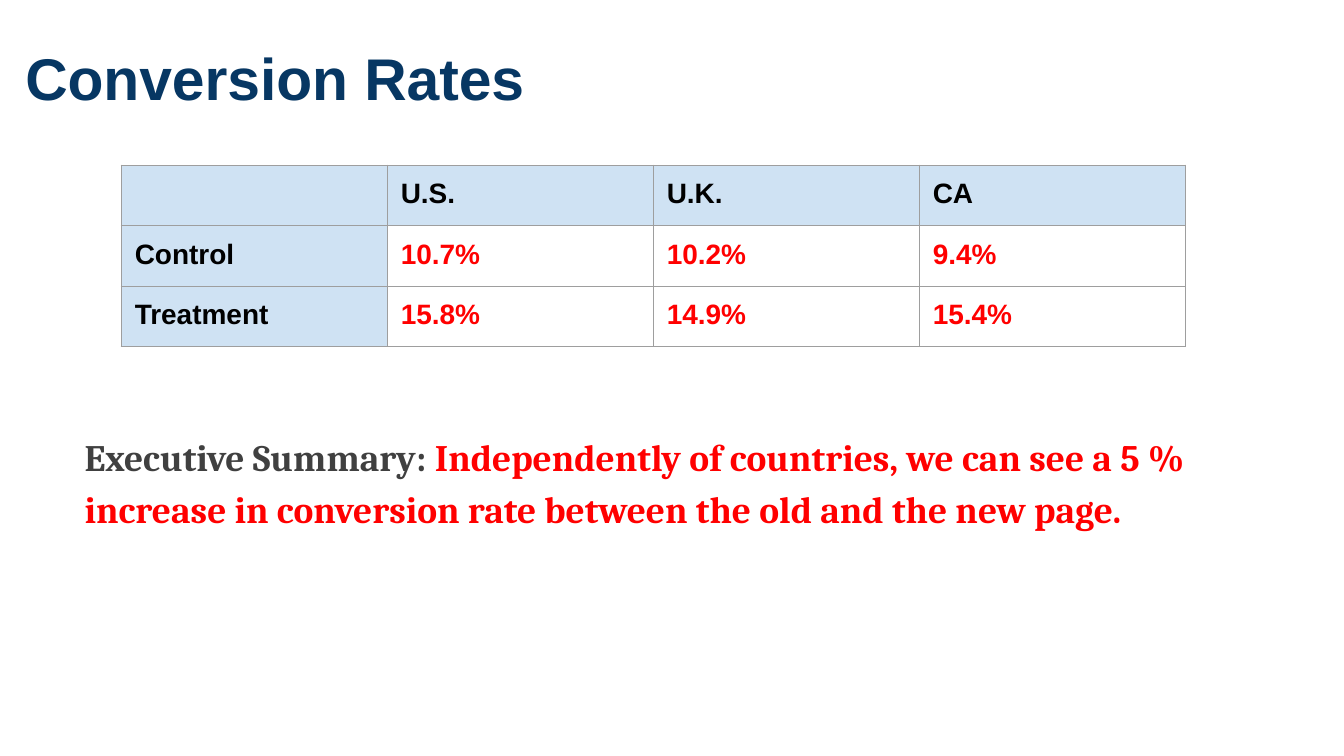
from dataclasses import dataclass

from lxml.etree import SubElement
from pptx import Presentation
from pptx.dml.color import RGBColor as Rgb
from pptx.oxml.ns import qn
from pptx.util import Pt


@dataclass(frozen=True)
class Theme:
    """Colours, fonts and type sizes of the slide."""
    navy: str = "073763"
    black: str = "000000"
    red: str = "FF0000"
    gray: str = "404040"
    white: str = "FFFFFF"
    header_fill: str = "CFE2F3"
    border: str = "9E9E9E"
    sans: str = "Arial"
    serif: str = "Cambria"
    title_size: float = 31.5
    table_size: float = 15
    summary_size: float = 20
    border_width: float = 0.75
    inset: float = 7.2


THEME = Theme()
RATES = [
    ["", "U.S.", "U.K.", "CA"],
    ["Control", "10.7%", "10.2%", "9.4%"],
    ["Treatment", "15.8%", "14.9%", "15.4%"],
]


def add_run(paragraph, text, font, size, color):
    """Append one bold run to a paragraph."""
    run = paragraph.add_run()
    run.text = text
    run.font.name, run.font.size, run.font.bold = font, Pt(size), True
    run.font.color.rgb = Rgb.from_string(color)


def set_insets(holder):
    """Give a text frame or table cell the same inset on every side."""
    holder.margin_left = holder.margin_right = Pt(THEME.inset)
    holder.margin_top = holder.margin_bottom = Pt(THEME.inset)


def add_paragraph_box(slide, box):
    """Add a wrapping text box and return its first paragraph."""
    frame = slide.shapes.add_textbox(*map(Pt, box)).text_frame
    frame.word_wrap = True
    set_insets(frame)
    return frame.paragraphs[0]


def set_borders(cell):
    """Draw a thin line on the four sides of a cell."""
    properties = cell._tc.get_or_add_tcPr()
    for index, side in enumerate(("lnL", "lnR", "lnT", "lnB")):
        line = properties.makeelement(qn(f"a:{side}"), {"w": str(Pt(THEME.border_width))})
        fill = SubElement(line, qn("a:solidFill"))
        SubElement(fill, qn("a:srgbClr"), val=THEME.border)
        properties.insert(index, line)


def fill_cell(cell, text, is_header):
    """Style one cell and write its text."""
    set_insets(cell)
    cell.fill.solid()
    cell.fill.fore_color.rgb = Rgb.from_string(THEME.header_fill if is_header else THEME.white)
    set_borders(cell)
    paragraph = cell.text_frame.paragraphs[0]
    if text:
        color = THEME.black if is_header else THEME.red
        add_run(paragraph, text, THEME.sans, THEME.table_size, color)
    else:
        SubElement(paragraph._p, qn("a:endParaRPr"), sz=str(int(THEME.table_size * 100)))


def add_title(slide, box):
    """Place the slide title."""
    title = add_paragraph_box(slide, box)
    add_run(title, "Conversion Rates", THEME.sans, THEME.title_size, THEME.navy)


def add_rates_table(slide, box):
    """Place the conversion rates by country and group."""
    table = slide.shapes.add_table(len(RATES), len(RATES[0]), *map(Pt, box)).table
    table.horz_banding = False
    for row in table.rows:
        row.height = Pt(box[3] / len(RATES))
    for row_index, rates in enumerate(RATES):
        for column_index, rate in enumerate(rates):
            is_header = row_index == 0 or column_index == 0
            fill_cell(table.cell(row_index, column_index), rate, is_header)


def add_summary(slide, box):
    """Place the executive summary."""
    summary = add_paragraph_box(slide, box)
    summary.line_spacing = 1.15
    add_run(summary, "Executive Summary: ", THEME.serif, THEME.summary_size, THEME.gray)
    add_run(
        summary,
        "Independently of countries, we can see a 5 % increase in conversion rate "
        "between the old and the new page.",
        THEME.serif, THEME.summary_size, THEME.red,
    )


def main():
    """Build and save the presentation."""
    deck = Presentation()
    deck.slide_width, deck.slide_height = Pt(720), Pt(405)
    slide = deck.slides.add_slide(deck.slide_layouts[6])
    add_title(slide, (6.5, 15.1, 720, 52.6))
    add_rates_table(slide, (65, 88.5, 570, 97.2))
    add_summary(slide, (38.2, 221.8, 646.6, 70.6))
    deck.save("out.pptx")


if __name__ == "__main__":
    main()
